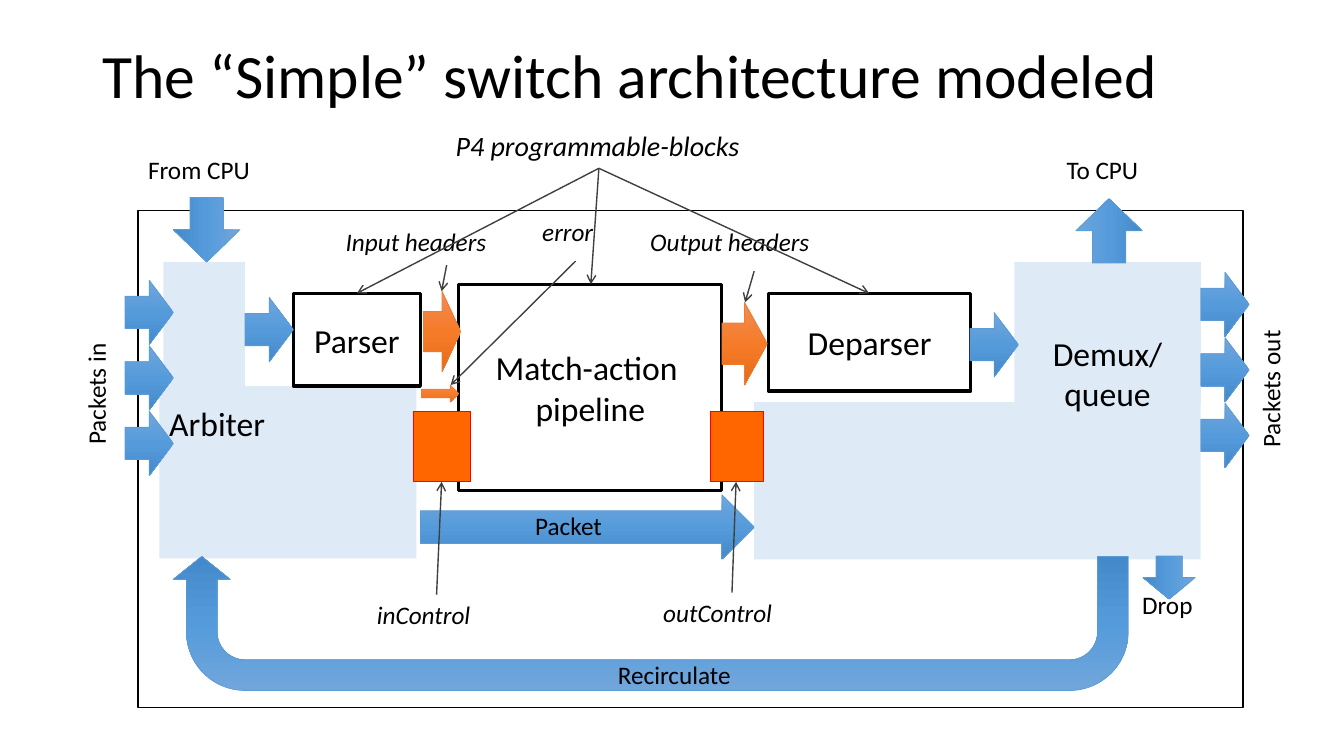
from copy import deepcopy
from lxml import etree
from pptx import Presentation
from pptx.dml.color import RGBColor
from pptx.enum.shapes import MSO_CONNECTOR, MSO_SHAPE
from pptx.enum.text import MSO_ANCHOR, PP_ALIGN
from pptx.oxml.ns import qn
from pptx.util import Inches, Pt

RECT, ARROW, UTURN = MSO_SHAPE.RECTANGLE, MSO_SHAPE.RIGHT_ARROW, MSO_SHAPE.U_TURN_ARROW
STRAIGHT = MSO_CONNECTOR.STRAIGHT
TOP, MIDDLE = MSO_ANCHOR.TOP, MSO_ANCHOR.MIDDLE
LEFT, CENTER = PP_ALIGN.LEFT, PP_ALIGN.CENTER

COLORS = {
    "black": "000000", "pointer": "404040", "pale": "DEEBF7",
    "control": "FF6600", "red": "FF0000", "blue": "5B9BD5", "orange": "ED7D31",
}
GRADIENTS = {
    "blue": ("71A6DB", "559BDB", "448ACA"),
    "orange": ("F18C57", "F67B28", "E56C19"),
}


def rgb(value):
    return RGBColor.from_string(value)


def write(tf, text, size=18, italic=False, align=LEFT, anchor=TOP, wrap=True, spacing=None, top=0.05):
    tf.word_wrap = wrap
    tf.vertical_anchor = anchor
    tf.margin_top = Inches(top)
    p = tf.paragraphs[0]
    p.text = text
    p.alignment = align
    p.line_spacing = spacing
    for r in p.runs:
        r.font.name = "Calibri"
        r.font.size = Pt(size)
        r.font.italic = italic
        r.font.color.rgb = rgb(COLORS["black"])


class Diagram:
    def __init__(self, slide):
        self.shapes = slide.shapes

    def shape(self, kind, box, line=None, width=0.5, rotation=0):
        sp = self.shapes.add_shape(kind, *map(Inches, box))
        sp.shadow.inherit = False
        sp.rotation = rotation
        if line:
            sp.line.color.rgb = rgb(COLORS[line])
            sp.line.width = Pt(width)
        else:
            sp.line.fill.background()
        return sp

    def block(self, box, text=None, fill=None, line=None, width=0.5, **fmt):
        sp = self.shape(RECT, box, line, width)
        if fill:
            sp.fill.solid()
            sp.fill.fore_color.rgb = rgb(COLORS[fill])
        else:
            sp.fill.background()
        if text:
            write(sp.text_frame, text, 24, wrap=False, **fmt)

    def programmable(self, box, text):
        self.block(box, text, line="black", width=2.25, align=CENTER, anchor=MIDDLE)

    def arrow(self, box, color="blue", rotation=0, kind=ARROW, adjustments=()):
        sp = self.shape(kind, box, color, rotation=rotation)
        for i, value in enumerate(adjustments):
            sp.adjustments[i] = value
        sp.fill.gradient()
        sp.fill.gradient_angle = 270
        stops = sp._element.spPr.find(".//" + qn("a:gsLst"))
        stops.insert(1, deepcopy(stops[0]))
        for stop, position, value in zip(sp.fill.gradient_stops, (0, 0.5, 1), GRADIENTS[color]):
            stop.position = position
            stop.color.rgb = rgb(value)

    def label(self, box, text, rotation=0, **fmt):
        sp = self.shapes.add_textbox(*map(Inches, box))
        sp.rotation = rotation
        write(sp.text_frame, text, **fmt)

    def pointer(self, start, end):
        sp = self.shapes.add_connector(STRAIGHT, *map(Inches, start + end))
        sp.line.color.rgb = rgb(COLORS["pointer"])
        sp.line.width = Pt(1)
        etree.SubElement(sp.line._get_or_add_ln(), qn("a:tailEnd"), type="arrow")
        etree.SubElement(sp._element.spPr, qn("a:effectLst"))


prs = Presentation()
prs.slide_width, prs.slide_height = Inches(13.33), Inches(7.5)
d = Diagram(prs.slides.add_slide(prs.slide_layouts[6]))

d.block((7.48, 3.99, 4.43, 1.56), fill="pale")
d.block((1.37, 2.09, 10.96, 4.93), line="black", width=1)
d.block((10.06, 2.6, 1.85, 1.4), "Demux/\nqueue", fill="pale", align=CENTER, top=0.7)
d.block((1.62, 2.6, 0.81, 2.32), fill="pale")
d.block((1.58, 3.83, 2.55, 1.71), "Arbiter", fill="pale", top=0.17)

d.programmable((4.55, 2.82, 2.61, 2.05), "Match-action \npipeline")
d.programmable((7.62, 2.91, 2.01, 0.97), "Deparser")
d.programmable((2.91, 2.91, 1.26, 0.92), "Parser")

for left, width in ((4.1, 0.57), (7.05, 0.52)):
    d.block((left, 4.08, width, 0.7), fill="control", line="red")

for box in ((4.2, 2.89, 0.37, 0.8), (7.16, 3, 0.45, 0.82), (4.18, 3.82, 0.37, 0.17)):
    d.arrow(box, "orange")

ports = [(left, top + 0.65 * i) for left, top in ((1.24, 2.78), (11.91, 2.7)) for i in range(3)]
for left, top in ports + [(2.43, 2.95), (9.62, 3.1)]:
    d.arrow((left, top, 0.48, 0.64))

d.arrow((1.73, 1.95, 0.64, 0.66), rotation=90)
d.arrow((10.68, 1.96, 0.64, 0.66), rotation=270)
d.arrow((11.38, 5.47, 0.43, 0.52), rotation=90)
d.arrow((4.17, 4.91, 3.31, 0.64))
d.arrow((1.72, 5.52, 9.47, 1.33), rotation=180, kind=UTURN,
        adjustments=(0.229, 0.211, 0.17, 0.438, 1))

for left, top, width, text in (
    (1.37, 1.48, 1.49, "From CPU"), (10.48, 1.48, 1.14, "To CPU"),
    (11.23, 5.8, 0.86, "Drop"), (6.03, 6.49, 1.63, "Recirculate"),
    (5.21, 5.01, 1.08, "Packet"),
):
    d.label((left, top, width, 0.49), text)

for left, top, width, text in (
    (3.33, 2.2, 2.03, "Input headers"), (6.35, 2.2, 2.26, "Output headers"),
    (5.28, 2.1, 0.86, "error"), (3.64, 5.9, 1.38, "inControl"),
    (6.48, 5.88, 1.57, "outControl"),
):
    d.label((left, top, width, 0.49), text, italic=True)

d.label((0.25, 3.52, 1.49, 0.49), "Packets in", rotation=270)
d.label((11.8, 3.45, 1.69, 0.49), "Packets out", rotation=270)
d.label((0.92, 0.4, 11.5, 1.45), "The “Simple” switch architecture modeled", size=44, spacing=0.9)
d.label((4.42, 1.23, 3.04, 0.44), "P4 programmable-blocks", size=20, italic=True)

for start, end in (
    ((4.43, 2.63), (4.38, 2.89)), ((7.48, 2.69), (7.39, 3)),
    ((5.71, 2.59), (4.47, 3.82)),
    ((4.33, 5.9), (4.38, 4.78)), ((7.26, 5.88), (7.3, 4.78)),
):
    d.pointer(start, end)
for end in ((3.54, 2.91), (5.86, 2.82), (8.62, 2.91)):
    d.pointer((5.94, 1.67), end)

prs.save("out.pptx")
